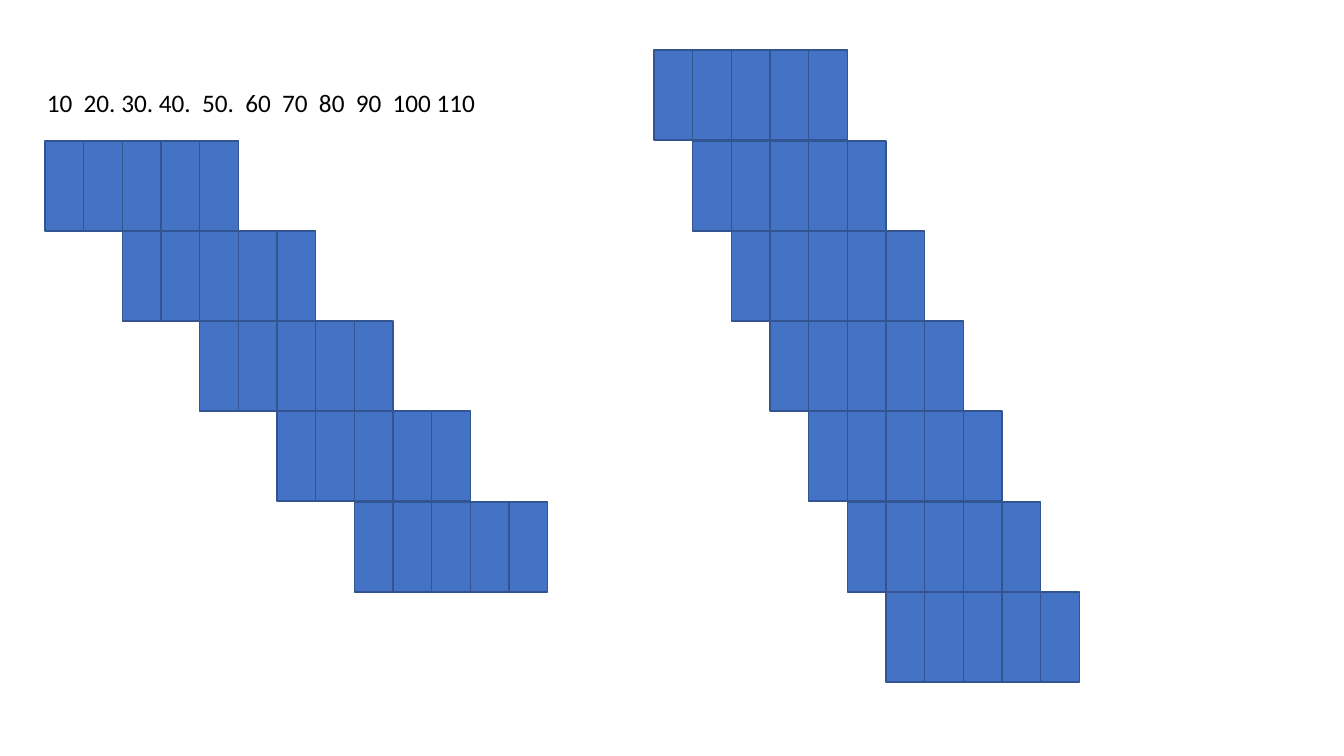
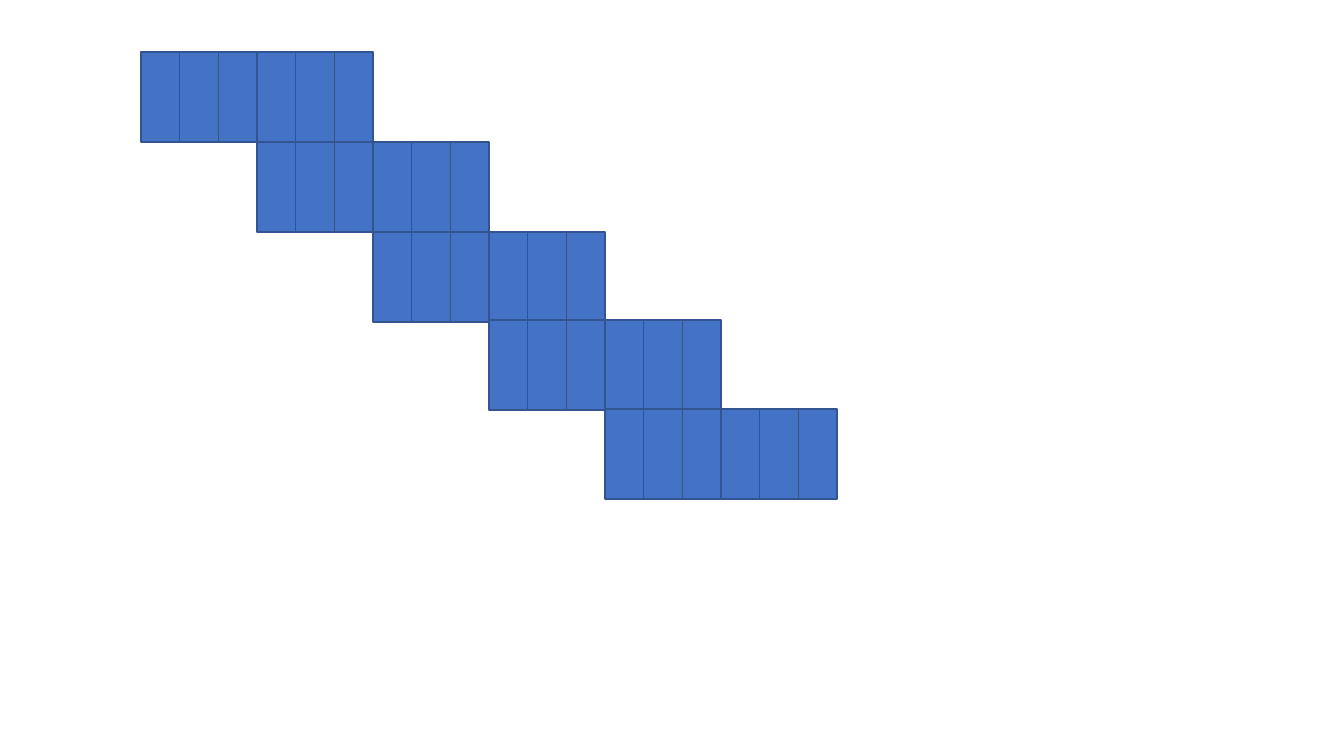
"""Builds two slides of overlapping sliding windows drawn as stepped rows of cells."""
from pptx import Presentation
from pptx import util as u
from pptx.dml.color import RGBColor
from pptx.enum import shapes, text

COLORS = {"cell": "4472C4", "edge": "325491", "ink": "000000"}
FONT = "Calibri"
PX_PER_INCH = 100.8
SLIDE_W, SLIDE_H = 1344, 756
CELL_W, CELL_H = 232 / 6, 90
ROW_TOPS = (50, 141, 231, 321, 411, 502, 592)
CLOSE_TOPS = (52, 142, 232, 320, 409)


def px(n):
    """Turn pixels into EMU."""
    return u.Emu(round(n * u.Inches(1) / PX_PER_INCH))


def rgb(name):
    """Look up a named colour."""
    return RGBColor.from_string(COLORS[name])


def add_cell(s, left, top):
    """Draw one outlined cell."""
    sp = s.shapes.add_shape(shapes.MSO_SHAPE.RECTANGLE,
                            px(left), px(top), px(CELL_W), px(CELL_H))
    sp.shadow.inherit = False
    sp.fill.solid()
    sp.fill.fore_color.rgb = rgb("cell")
    sp.line.color.rgb = rgb("edge")
    sp.line.width = u.Pt(1)


def add_windows(s, left, tops, size, stride):
    """Draw one window of cells per row, each moved right by the stride."""
    for row, top in enumerate(tops):
        for col in range(size):
            add_cell(s, left + (row * stride + col) * CELL_W, top)


def add_scale(s, left, top, width, height, label):
    """Write the number scale above a set of windows."""
    sp = s.shapes.add_textbox(px(left), px(top), px(width), px(height))
    tf = sp.text_frame
    tf.word_wrap = False
    tf.auto_size = text.MSO_AUTO_SIZE.SHAPE_TO_FIT_TEXT
    p = tf.paragraphs[0]
    p.text = label
    p.font.name = FONT
    p.font.size = u.Pt(18)
    p.font.color.rgb = rgb("ink")


def add_stride_comparison(prs):
    """Add the slide comparing windows of five with strides two and one."""
    s = prs.slides.add_slide(prs.slide_layouts[6])
    add_windows(s, 45, ROW_TOPS[1:6], size=5, stride=2)
    add_scale(s, 37, 82, 461, 40, "10  20. 30. 40.  50.  60  70  80  90  100 110")
    add_windows(s, 654, ROW_TOPS, size=5, stride=1)


def add_half_overlap(prs):
    """Add the slide with windows of six that overlap by half."""
    s = prs.slides.add_slide(prs.slide_layouts[6])
    add_windows(s, 141, CLOSE_TOPS, size=6, stride=3)


def main():
    """Build and save the presentation."""
    prs = Presentation()
    prs.slide_width, prs.slide_height = px(SLIDE_W), px(SLIDE_H)
    add_stride_comparison(prs)
    add_half_overlap(prs)
    prs.save("out.pptx")


if __name__ == "__main__":
    main()
